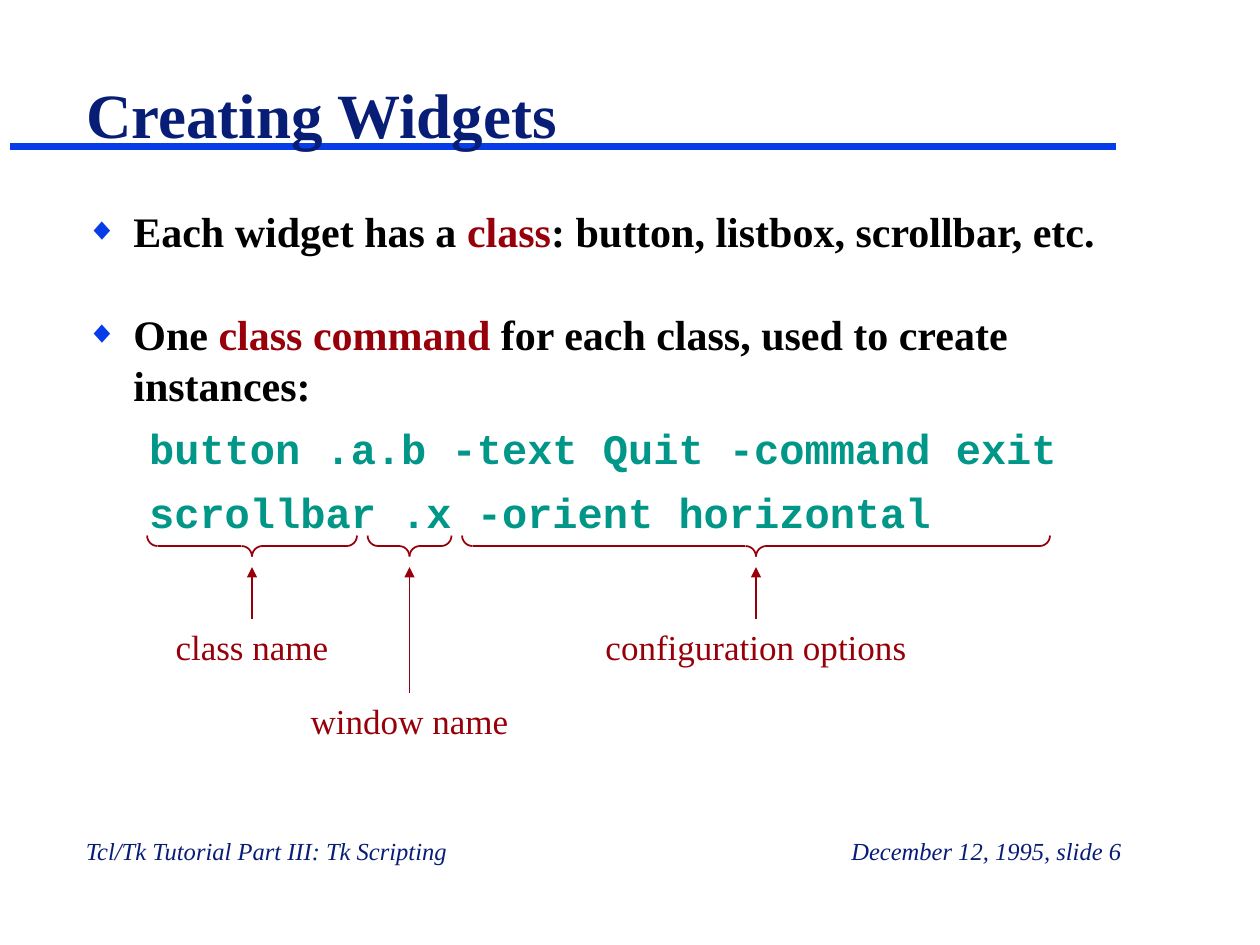
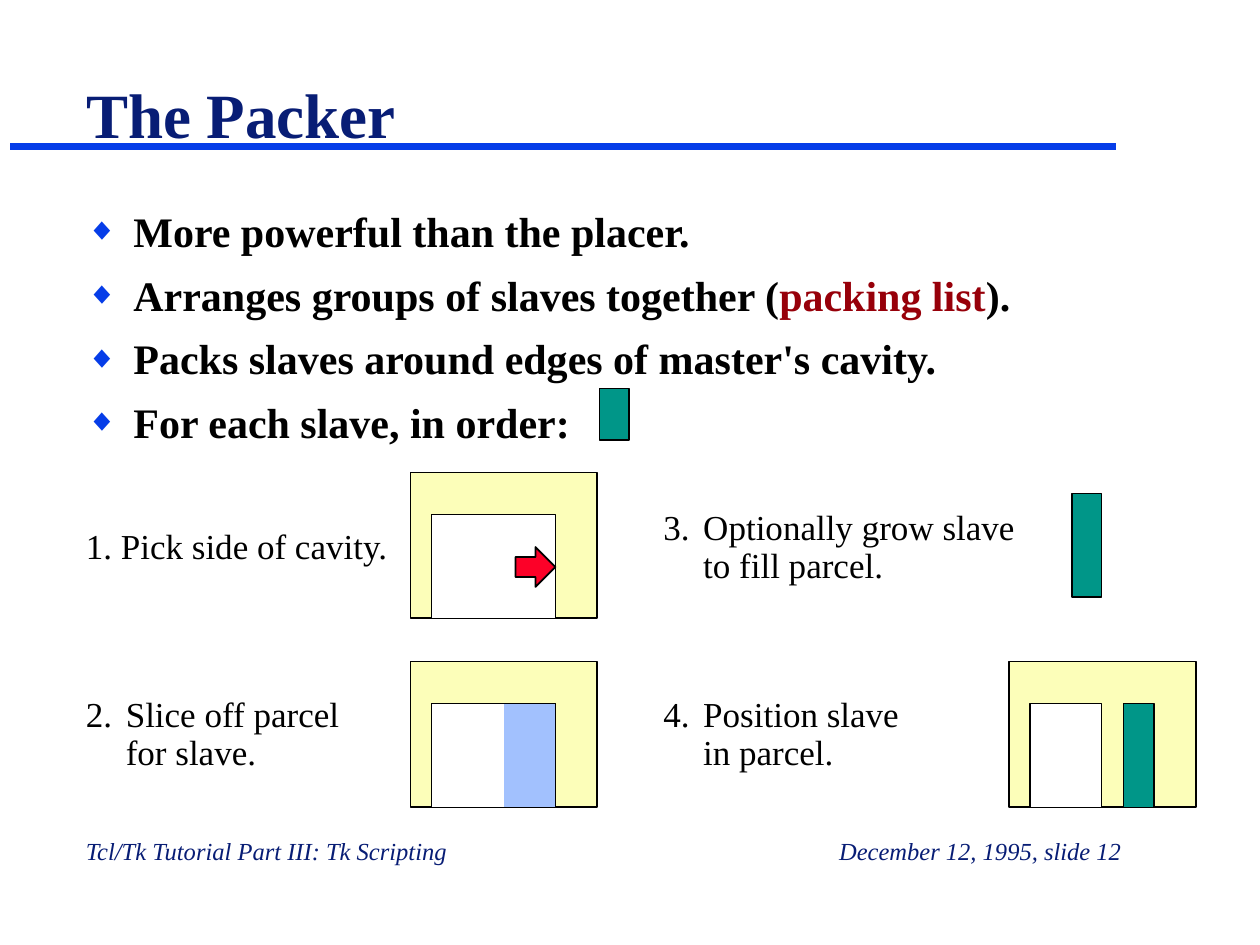
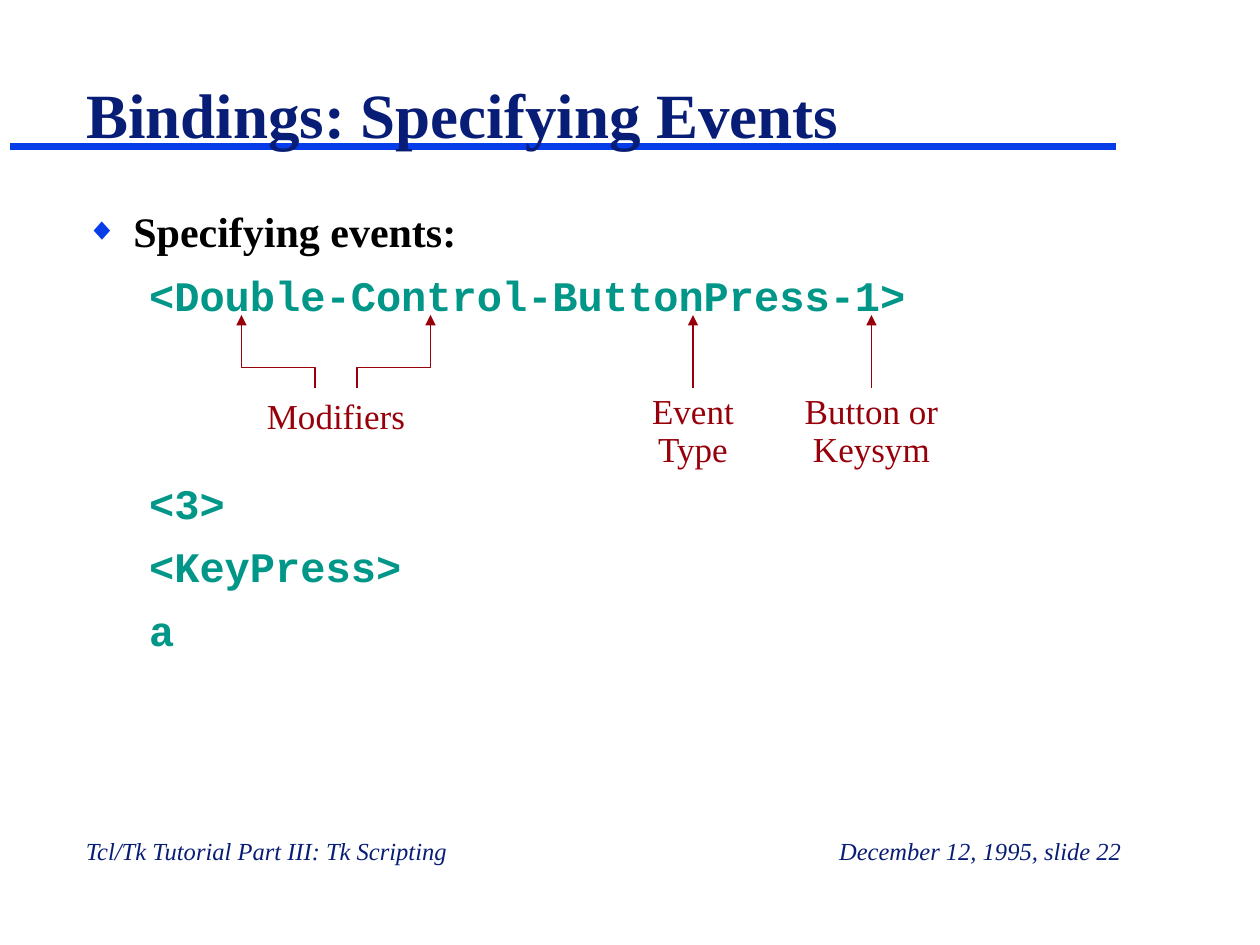
"""Build three Tk tutorial slides: creating widgets, the packer, and event bindings."""
from dataclasses import dataclass

from lxml.etree import SubElement
from pptx import Presentation
from pptx.dml.color import RGBColor
from pptx.enum.shapes import MSO_CONNECTOR, MSO_SHAPE
from pptx.enum.text import MSO_ANCHOR, MSO_AUTO_SIZE, PP_ALIGN
from pptx.oxml.ns import qn
from pptx.util import Pt

PX = 7620
RECT, ARROW = MSO_SHAPE.RECTANGLE, MSO_SHAPE.RIGHT_ARROW
LEFT, CENTER, RIGHT = PP_ALIGN.LEFT, PP_ALIGN.CENTER, PP_ALIGN.RIGHT


@dataclass(frozen=True)
class Theme:
    serif: str = "Times New Roman"
    mono: str = "Courier New"
    navy: str = "081D75"
    blue: str = "063DE8"
    crimson: str = "97000A"
    teal: str = "009688"
    black: str = "000000"
    white: str = "FFFFFF"
    sand: str = "FCFEB9"
    sky: str = "A2C1FE"
    red: str = "FC0128"
    title: int = 36
    body: int = 24
    label: int = 20
    footer: int = 14


t = Theme()


def write(p, text, size, color, font=t.serif, bold=False, italic=False):
    for i, line in enumerate(text.split("\n")):
        if i:
            p.add_line_break()
        r = p.add_run()
        r.text = line
        r.font.name, r.font.size = font, Pt(size)
        r.font.bold, r.font.italic = bold, italic
        r.font.color.rgb = RGBColor.from_string(color)


def style_line(shape, color=t.crimson, width=1, arrow=False):
    shape.line.color.rgb = RGBColor.from_string(color)
    shape.line.width = Pt(width)
    sp_pr = shape._element.spPr
    if arrow:
        SubElement(sp_pr.ln, qn("a:tailEnd"), type="triangle")
    SubElement(sp_pr, qn("a:effectLst"))


prs = Presentation()
prs.slide_width, prs.slide_height = 1200 * PX, 900 * PX
layout = prs.slide_layouts[1]
for ph, place in zip(layout.placeholders, [(70, 5, 1000, 145), (70, 190, 1010, 580)]):
    ph.left, ph.top, ph.width, ph.height = [v * PX for v in place]

BULLET, CODE = "bullet", "code"
decks = [
    (6, "Creating Widgets", [
        (BULLET, 0, [("Each widget has a ", t.black), ("class", t.crimson),
                     (": button, listbox, scrollbar, etc.", t.black)]),
        (BULLET, 30, [("One ", t.black), ("class command", t.crimson),
                      (" for each class, used to create instances:", t.black)]),
        (CODE, 7.5, [("button .a.b -text Quit -command exit", t.teal)]),
        (CODE, 7.5, [("scrollbar .x -orient horizontal", t.teal)]),
    ], [
        (149, 590, 182, 52, CENTER, 1, "class name", t.crimson),
        (280, 660, 220, 52, CENTER, 1, "window name", t.crimson),
        (559, 590, 322, 52, CENTER, 1, "configuration options", t.crimson),
    ], [(240, 590, 540), (390, 660, 540), (720, 590, 540)]),
    (12, "The Packer", [
        (BULLET, 0, [("More powerful than the placer.", t.black)]),
        (BULLET, 7.5, [("Arranges groups of slaves together (", t.black),
                       ("packing list", t.crimson), (").", t.black)]),
        (BULLET, 7.5, [("Packs slaves around edges of master's cavity.", t.black)]),
        (BULLET, 7.5, [("For each slave, in order:", t.black)]),
    ], [
        (70, 494, 322, 52, LEFT, 1, "1. Pick side of cavity.", t.black),
        (70, 658, 301, 84, LEFT, 0.9, "2.\tSlice off parcel\nfor slave.", t.black),
        (620, 658, 322, 84, LEFT, 0.9, "4.\tPosition slave\nin parcel.", t.black),
        (620, 480, 382, 84, LEFT, 0.9, "3.\tOptionally grow slave\nto fill parcel.", t.black),
    ], []),
    (22, "Bindings: Specifying Events", [
        (BULLET, 0, [("Specifying events:", t.black)]),
        (CODE, 7.5, [("<Double-Control-ButtonPress-1>", t.teal)]),
        (CODE, 90, [("<3>", t.teal)]),
        (CODE, 7.5, [("<KeyPress>", t.teal)]),
        (CODE, 7.5, [("a", t.teal)]),
    ], [
        (219, 370, 202, 52, CENTER, 1, "Modifiers", t.crimson),
        (589, 370, 142, 84, CENTER, 0.9, "Event Type", t.crimson),
        (739, 370, 182, 84, CENTER, 0.9, "Button or Keysym", t.crimson),
    ], [(660, 370, 300), (830, 370, 300)]),
]

for number, title, body, labels, arrows in decks:
    s = prs.slides.add_slide(layout)
    band = s.shapes.add_connector(MSO_CONNECTOR.STRAIGHT, 10 * PX, 140 * PX, 1063 * PX, 140 * PX)
    style_line(band, t.blue, 4)
    s.shapes._spTree.insert(2, band._element)

    tf = s.shapes.title.text_frame
    tf.auto_size, tf.vertical_anchor = MSO_AUTO_SIZE.NONE, MSO_ANCHOR.BOTTOM
    p = tf.paragraphs[0]
    p.alignment = LEFT
    write(p, title, t.title, t.navy, bold=True)

    tf = s.placeholders[1].text_frame
    tf.auto_size = MSO_AUTO_SIZE.NONE
    for i, (kind, before, runs) in enumerate(body):
        p = tf.add_paragraph() if i else tf.paragraphs[0]
        p_pr = p._p.get_or_add_pPr()
        if kind == BULLET:
            margin, hang, font = 45, 45, t.serif
            SubElement(SubElement(p_pr, qn("a:buClr")), qn("a:srgbClr"), val=t.blue)
            SubElement(p_pr, qn("a:buSzPct"), val="75000")
            SubElement(p_pr, qn("a:buChar"), char="◆")
        else:
            margin, hang, font = 98, 38, t.mono
            p.level = 1
            SubElement(p_pr, qn("a:buNone"))
        p_pr.set("marL", str(margin * PX))
        p_pr.set("indent", str(-hang * PX))
        p.space_before = Pt(before)
        for text, color in runs:
            write(p, text, t.body, color, font, bold=True)

    footers = [
        (70, 790, 571, 40, LEFT, 1, "Tcl/Tk Tutorial Part III: Tk Scripting", t.navy),
        (509, 790, 571, 40, RIGHT, 1, f"December 12, 1995, slide {number}", t.navy),
    ]
    for box in footers + labels:
        x, y, w, h, align, spacing, text, color = box
        tf = s.shapes.add_textbox(x * PX, y * PX, w * PX, h * PX).text_frame
        tf.word_wrap = True
        p = tf.paragraphs[0]
        p.alignment, p.line_spacing = align, spacing
        if "\t" in text:
            p_pr = p._p.get_or_add_pPr()
            p_pr.set("marL", str(38 * PX))
            p_pr.set("indent", str(-38 * PX))
        is_footer = box in footers
        write(p, text, t.footer if is_footer else t.label, color, italic=is_footer)

    for x, start, end in arrows:
        pointer = s.shapes.add_connector(MSO_CONNECTOR.STRAIGHT, x * PX, start * PX, x * PX, end * PX)
        style_line(pointer, arrow=True)

widgets, packer, bindings = prs.slides

TOP_RIGHT, TOP_LEFT = (162, 0), (108, 162)
for left, right in [(140, 340), (350, 430), (440, 1000)]:
    tip = (left + right) // 2
    for x, y, turn, angles in [(tip - 20, 520, 0, TOP_RIGHT), (right - 20, 500, 180, TOP_LEFT),
                               (left, 500, 180, TOP_RIGHT), (tip, 520, 0, TOP_LEFT)]:
        arc = widgets.shapes.add_shape(MSO_SHAPE.ARC, x * PX, y * PX, 20 * PX, 20 * PX)
        arc.rotation = turn
        arc.adjustments[0], arc.adjustments[1] = angles
        arc.fill.background()
        style_line(arc)
    for start, end in [(left + 10, tip - 10), (tip + 10, right - 10)]:
        bar = widgets.shapes.add_connector(MSO_CONNECTOR.STRAIGHT, start * PX, 520 * PX,
                                           end * PX, 520 * PX)
        style_line(bar)

master = (RECT, 0, 0, 178, 139, t.sand, True)
cavity = (RECT, 20, 40, 118, 99, t.white, True)
diagrams = [
    (571, 370, [(RECT, 0, 0, 28, 49, t.teal, True)]),
    (391, 450, [master, cavity, (ARROW, 100, 71, 38, 38, t.red, True)]),
    (391, 630, [master, cavity, (RECT, 89, 40, 49, 99, t.sky, False),
                (RECT, 20, 40, 118, 99, None, True)]),
    (1021, 470, [(RECT, 0, 0, 28, 99, t.teal, True)]),
    (961, 630, [master, (RECT, 20, 40, 68, 99, t.white, True),
                (RECT, 109, 40, 29, 99, t.teal, True)]),
]
for x, y, parts in diagrams:
    shapes = packer.shapes.add_group_shape().shapes if len(parts) > 1 else packer.shapes
    for kind, dx, dy, w, h, fill, outlined in parts:
        sp = shapes.add_shape(kind, (x + dx) * PX, (y + dy) * PX, w * PX, h * PX)
        if fill:
            sp.fill.solid()
            sp.fill.fore_color.rgb = RGBColor.from_string(fill)
        else:
            sp.fill.background()
        if outlined:
            style_line(sp, t.black)
        else:
            sp.line.fill.background()
            sp.shadow.inherit = False

for start, end in [(300, 230), (340, 410)]:
    builder = bindings.shapes.build_freeform(start * PX, 370 * PX)
    builder.add_line_segments([(start * PX, 350 * PX), (end * PX, 350 * PX), (end * PX, 300 * PX)],
                              close=False)
    elbow = builder.convert_to_shape()
    elbow.fill.background()
    style_line(elbow, arrow=True)

prs.save("out.pptx")
